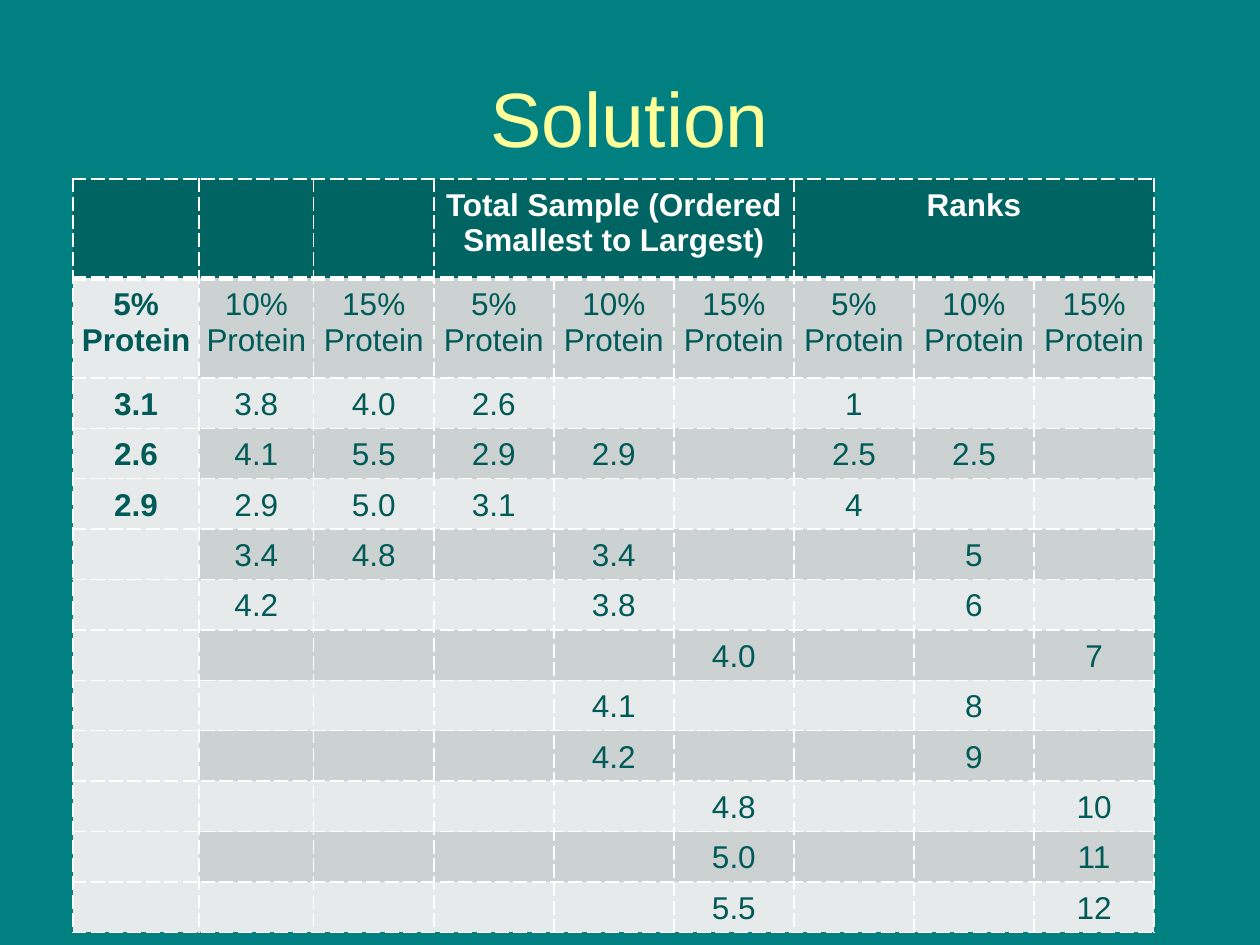
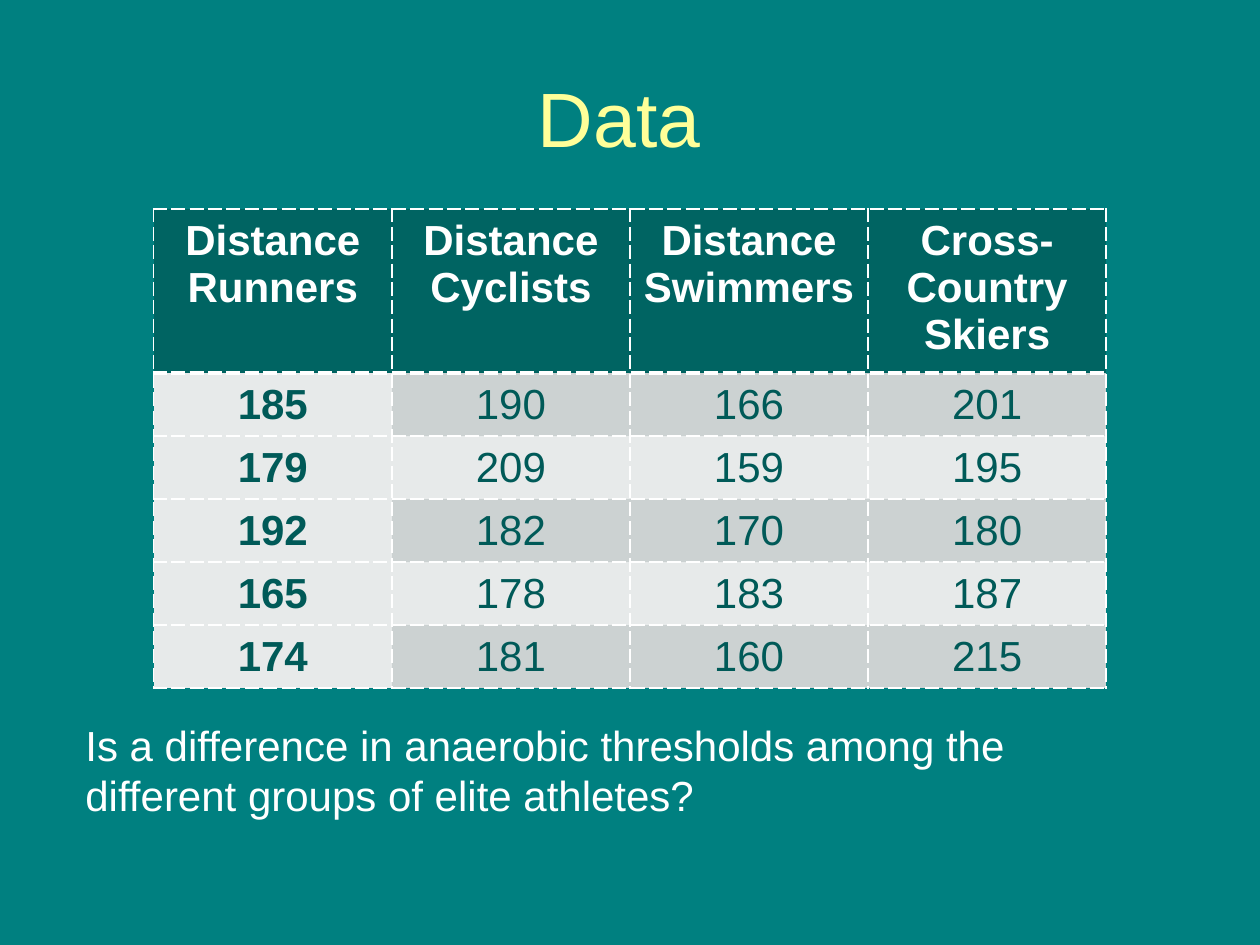
from dataclasses import dataclass
from itertools import zip_longest

from lxml.etree import SubElement as Sub
from pptx import Presentation
from pptx.dml.color import RGBColor as RGB
from pptx.enum.text import MSO_ANCHOR as Anchor, PP_ALIGN as Align
from pptx.oxml.ns import qn
from pptx.util import Inches, Pt


@dataclass(frozen=True)
class Theme:
    back: str = "008080"
    title: str = "FFFF99"
    white: str = "FFFFFF"
    head: str = "006462"
    ink: str = "005A58"
    pale: str = "E7EAEA"
    band: str = "CCD2D2"
    font: str = "Arial"
    big: int = 44
    body: int = 24
    small: int = 18
    thin: float = 0.96
    thick: float = 3
    side: float = 0.05
    top: float = 0.07
    base: float = 0.03


class Deck:
    def __init__(self, theme):
        self.theme = theme
        self.prs = Presentation()
        self.prs.slide_width = Inches(10)
        self.prs.slide_height = Inches(7.5)
        fill = self.prs.slide_master.background.fill
        fill.solid()
        fill.fore_color.rgb = RGB.from_string(theme.back)

    def add(self, title):
        self.slide = self.prs.slides.add_slide(self.prs.slide_layouts[6])
        frame = self.text(title, (0.5, 0.3, 9, 1.25), self.theme.big, self.theme.title, Align.CENTER)
        frame.vertical_anchor = Anchor.MIDDLE

    def style(self, para, size, color, align, bold=False):
        para.alignment = align
        font = para.font
        font.name, font.size, font.bold = self.theme.font, Pt(size), bold
        font.color.rgb = RGB.from_string(color)

    def text(self, words, box, size, color, align=Align.LEFT):
        frame = self.slide.shapes.add_textbox(*map(Inches, box)).text_frame
        frame.word_wrap = True
        frame.text = words
        self.style(frame.paragraphs[0], size, color, align)
        return frame

    def edge(self, cell, side, width):
        props = cell._tc.get_or_add_tcPr()
        line = Sub(props, qn(f"a:ln{side}"), w=str(Pt(width)))
        Sub(Sub(line, qn("a:solidFill")), qn("a:srgbClr"), val=self.theme.white)
        Sub(line, qn("a:prstDash"), val="dash")

    def cell(self, cell, words, row, col, size):
        t = self.theme
        top = t.thick if row == 1 else t.thin
        base = t.thick if row == 0 else t.thin
        for side, width in zip("LRTB", (t.thin, t.thin, top, base)):
            self.edge(cell, side, width)
        shade = t.head if row == 0 else t.band if row % 2 and col else t.pale
        cell.fill.solid()
        cell.fill.fore_color.rgb = RGB.from_string(shade)
        cell.margin_left = cell.margin_right = Inches(t.side)
        cell.margin_top, cell.margin_bottom = Inches(t.top), Inches(t.base)
        cell.text = words
        color = t.ink if row else t.white
        bold = row == 0 or col == 0
        self.style(cell.text_frame.paragraphs[0], size, color, Align.CENTER, bold)

    def table(self, rows, spot, wide, high, size, spans=()):
        box = (*spot, sum(wide), sum(high))
        grid = self.slide.shapes.add_table(len(rows), len(wide), *map(Inches, box)).table
        grid.first_row = grid.horz_banding = False
        for col, width in zip(grid.columns, wide):
            col.width = Inches(width)
        for row, height in zip(grid.rows, high):
            row.height = Inches(height)
        for r, row in enumerate(rows):
            for c, words in enumerate(row):
                self.cell(grid.cell(r, c), words, r, c, size)
        for first, last in spans:
            grid.cell(0, first).merge(grid.cell(0, last))


def rank(groups):
    pool = sorted(sum(groups, []))
    raw = zip_longest(*groups)
    for value, sample in zip_longest(sorted(set(pool)), raw):
        mean = pool.index(value) + (pool.count(value) + 1) / 2
        held = [value in group for group in groups]
        yield (
            [f"{x:.1f}" if x else "" for x in sample or [None] * len(groups)]
            + [f"{value:.1f}" if has else "" for has in held]
            + [f"{mean:g}" if has else "" for has in held]
        )


def main():
    theme = Theme()
    deck = Deck(theme)

    deck.add("Solution")
    diets = [[3.1, 2.6, 2.9], [3.8, 4.1, 2.9, 3.4, 4.2], [4.0, 5.5, 5.0, 4.8]]
    head = ["", "", "", "Total Sample (Ordered Smallest to Largest)", "", "", "Ranks", "", ""]
    names = ["5% Protein", "10% Protein", "15% Protein"] * 3
    ranks = [head, names, *rank(diets)]
    wide = [1, 0.91] + [(8.58 - 1.91) / 7] * 7
    deck.table(ranks, (0.58, 1.42), wide, [0.79] * 2 + [0.38] * 11,
               theme.small, [(3, 5), (6, 8)])

    deck.add("Data ")
    sports = [
        ["Distance Runners", "Distance Cyclists", "Distance Swimmers", "Cross-Country Skiers"],
        ["185", "190", "166", "201"],
        ["179", "209", "159", "195"],
        ["192", "182", "170", "180"],
        ["165", "178", "183", "187"],
        ["174", "181", "160", "215"],
    ]
    deck.table(sports, (1.22, 1.66), [1.89] * 4, [1.19] + [0.4] * 5, theme.body)
    deck.text("Is a difference in anaerobic thresholds among the different groups of elite athletes?",
              (0.58, 5.66, 7.53, 0.9), theme.body, theme.white)

    deck.prs.save("out.pptx")


if __name__ == "__main__":
    main()
